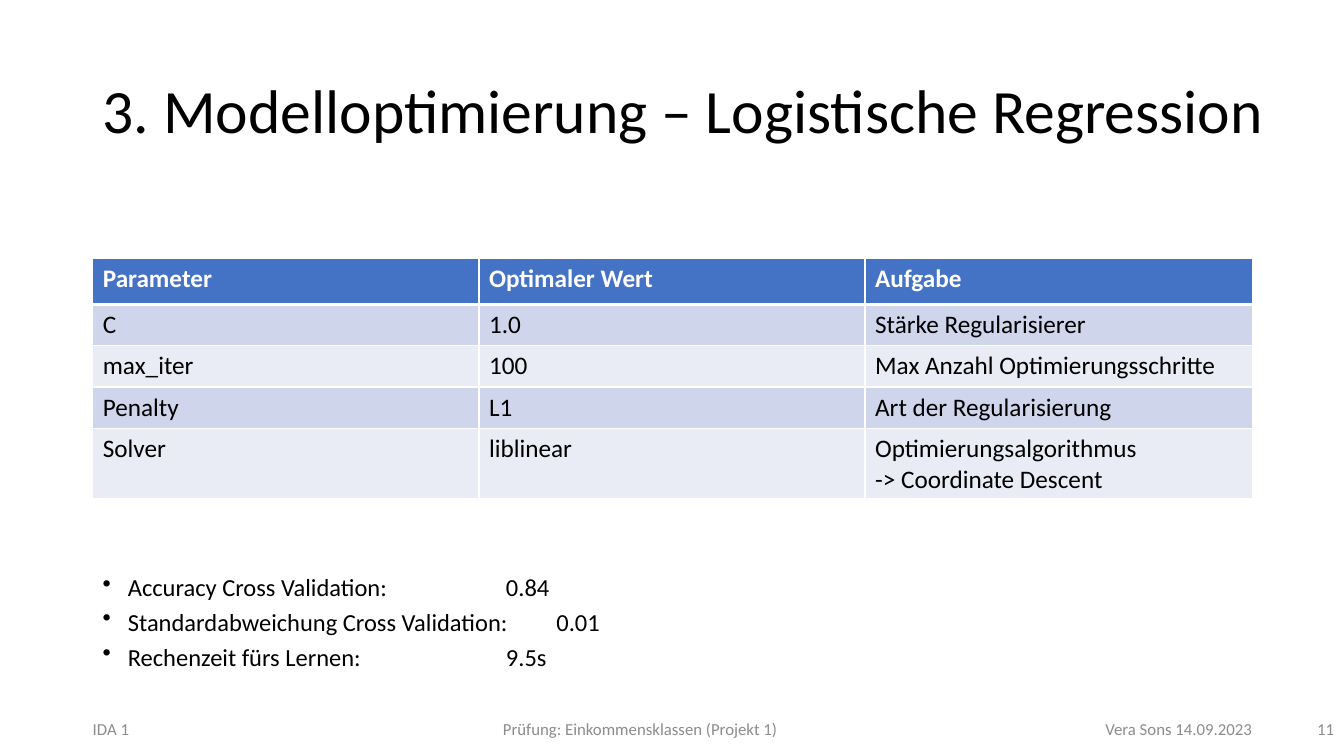
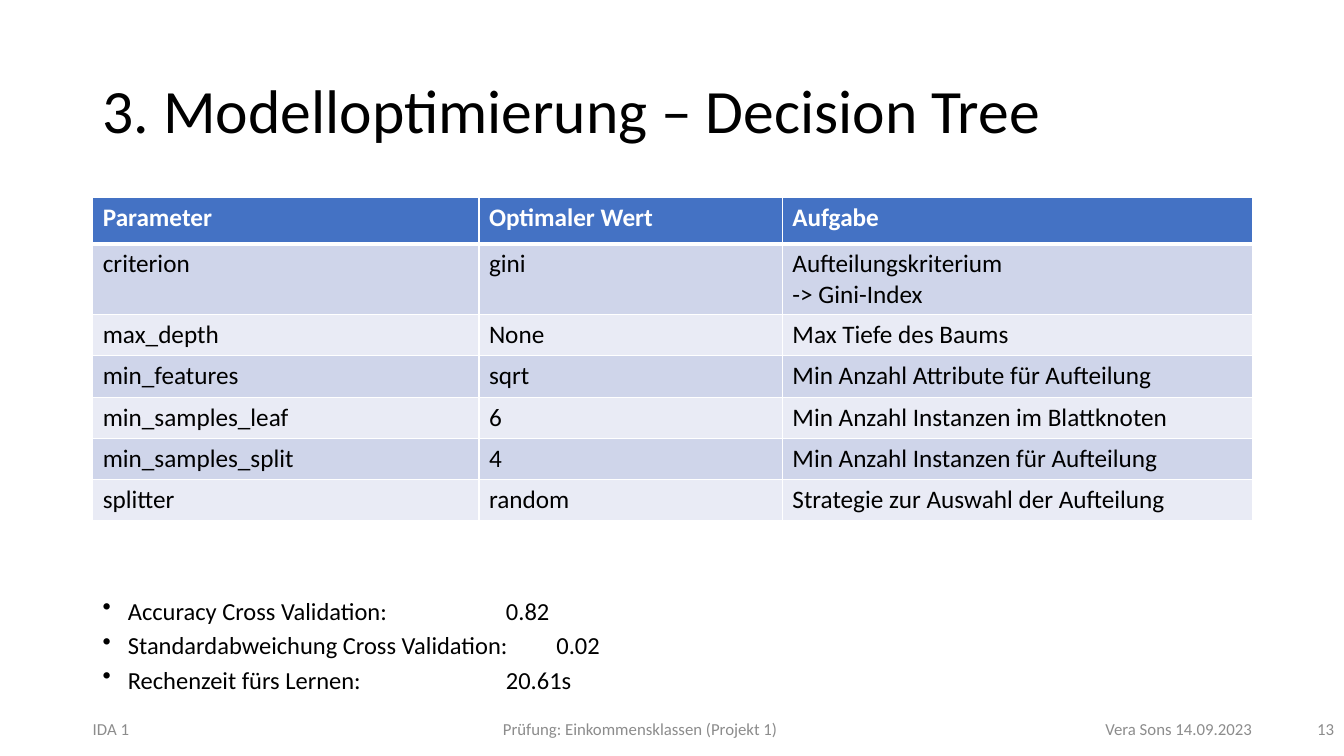
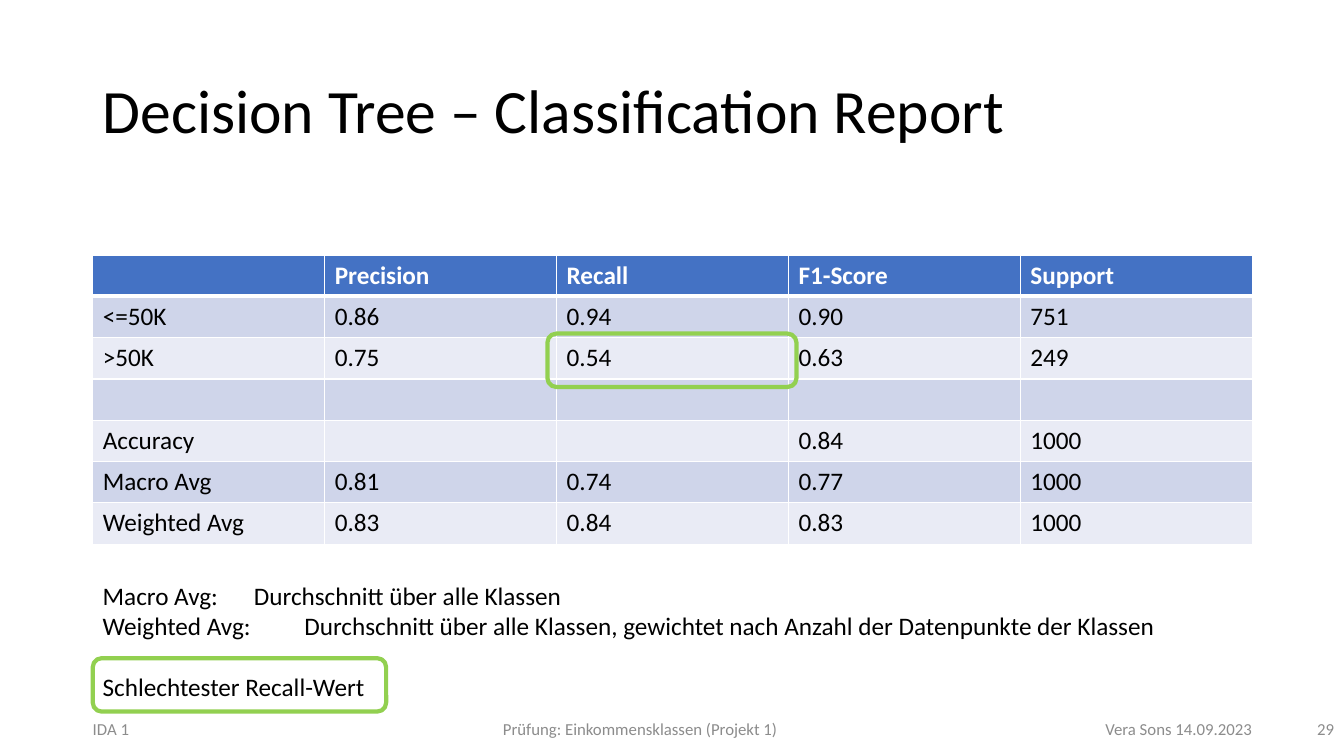
from lxml.etree import SubElement
from pptx import Presentation
from pptx.dml.color import RGBColor
from pptx.enum.shapes import MSO_SHAPE as SHAPE
from pptx.enum.text import MSO_ANCHOR as ANCHOR, PP_ALIGN as ALIGN
from pptx.oxml.ns import qn
from pptx.util import Inches, Pt

BLACK = RGBColor(0x00, 0x00, 0x00)
WHITE = RGBColor(0xFF, 0xFF, 0xFF)
GREY = RGBColor(0x8C, 0x8C, 0x8C)
BLUE = RGBColor(0x44, 0x72, 0xC4)
BANDS = (RGBColor(0xCF, 0xD5, 0xEA), RGBColor(0xE9, 0xEB, 0xF5))
GREEN = RGBColor(0x92, 0xD0, 0x50)

LEFT, WIDTH = 0.92, 11.5
ROW_HEIGHT = 0.41
PARAMETER_HEADER = ("Parameter", "Optimaler Wert", "Aufgabe")


class Deck:
    font = "Calibri"
    footer = "IDA 1\tPrüfung: Einkommensklassen (Projekt 1)\tVera Sons 14.09.2023"

    def __init__(self):
        self.prs = Presentation()
        self.prs.slide_width = Inches(13.33)
        self.prs.slide_height = Inches(7.5)

    def slide(self, title, number, title_width=WIDTH):
        self.s = self.prs.slides.add_slide(self.prs.slide_layouts[6])
        tf = self.text(title, LEFT, 0.4, title_width, 1.45, 44, anchor=ANCHOR.MIDDLE)
        tf.paragraphs[0].line_spacing = 0.9
        self.foot(number)

    def style(self, p, size, color=BLACK, bold=False):
        p.font.name = self.font
        p.font.size = Pt(size)
        p.font.color.rgb = color
        p.font.bold = bold

    def text(self, text, x, y, w, h, size, color=BLACK, anchor=ANCHOR.TOP):
        tf = self.s.shapes.add_textbox(Inches(x), Inches(y), Inches(w), Inches(h)).text_frame
        tf.word_wrap = True
        tf.vertical_anchor = anchor
        tf.text = text
        for p in tf.paragraphs:
            self.style(p, size, color)
        return tf

    def foot(self, number):
        tf = self.text(self.footer, 0, 7.1, 13.33, 0.25, 12, GREY, ANCHOR.MIDDLE)
        tf.margin_left = Inches(LEFT)
        tf.margin_right = Inches(0.9)
        pPr = tf.paragraphs[0]._p.get_or_add_pPr()
        tabs = pPr.makeelement(qn("a:tabLst"))
        pPr.insert(0, tabs)
        for pos, align in ((5.43, "ctr"), (11.5, "r")):
            SubElement(tabs, qn("a:tab"), pos=str(Inches(pos)), algn=align)
        tf = self.text(str(number), 10.33, 7.03, 3, 0.4, 12, GREY, ANCHOR.MIDDLE)
        tf.paragraphs[0].alignment = ALIGN.RIGHT

    def scores(self, y, accuracy, deviation, duration):
        lines = (
            f"Accuracy Cross Validation:\t\t\t{accuracy}",
            f"Standardabweichung Cross Validation: \t{deviation}",
            f"Rechenzeit fürs Lernen:\t\t\t{duration}",
        )
        tf = self.text("\n".join(lines), LEFT, y, WIDTH, 1.05, 17.5)
        for p in tf.paragraphs:
            p.line_spacing = 0.7
            p.space_before = Pt(10)
            pPr = p._p.get_or_add_pPr()
            pPr.set("marL", str(Inches(0.25)))
            pPr.set("indent", str(-Inches(0.25)))
            bullet = pPr.makeelement(qn("a:buChar"), {"char": "•"})
            pPr.find(qn("a:defRPr")).addprevious(bullet)

    def border(self, cell, side, width):
        ln = SubElement(cell._tc.get_or_add_tcPr(), qn(f"a:ln{side}"), w=str(Pt(width)))
        fill = SubElement(ln, qn("a:solidFill"))
        SubElement(fill, qn("a:srgbClr"), val=str(WHITE))

    def table(self, y, widths, rows, header_height=ROW_HEIGHT):
        heights = [header_height] + [ROW_HEIGHT] * (len(rows) - 1)
        table = self.s.shapes.add_table(
            len(rows), len(widths), Inches(LEFT), Inches(y), Inches(WIDTH), Inches(sum(heights))
        ).table
        for column, width in zip(table.columns, widths):
            column.width = Inches(width)
        for i, (row, height, texts) in enumerate(zip(table.rows, heights, rows)):
            row.height = Inches(height)
            header = i == 0
            for cell, text in zip(row.cells, texts):
                cell.text = text
                for p in cell.text_frame.paragraphs:
                    self.style(p, 18, WHITE if header else BLACK, header)
                for side in "LRTB":
                    thick = (i, side) in ((0, "B"), (1, "T"))
                    self.border(cell, side, 3 if thick else 1)
                cell.fill.solid()
                cell.fill.fore_color.rgb = BLUE if header else BANDS[(i - 1) % 2]

    def highlight(self, x, y, w):
        sp = self.s.shapes.add_shape(
            SHAPE.ROUNDED_RECTANGLE, Inches(x), Inches(y), Inches(w), Inches(0.53)
        )
        sp.shadow.inherit = False
        sp.fill.background()
        sp.line.color.rgb = GREEN
        sp.line.width = Pt(3)


deck = Deck()

deck.slide("3. Modelloptimierung – Logistische Regression", 11, title_width=11.76)
deck.scores(5.71, "0.84", "0.01", "9.5s")
deck.table(2.56, (3.83, 3.83, 3.84), (
    PARAMETER_HEADER,
    ("C", "1.0", "Stärke Regularisierer"),
    ("max_iter", "100", "Max Anzahl Optimierungsschritte"),
    ("Penalty", "L1", "Art der Regularisierung"),
    ("Solver", "liblinear", "Optimierungsalgorithmus\n-> Coordinate Descent"),
), header_height=0.46)

deck.slide("3. Modelloptimierung – Decision Tree", 13)
deck.scores(5.94, "0.82", "0.02", "20.61s")
deck.table(1.96, (3.83, 3.01, 4.66), (
    PARAMETER_HEADER,
    ("criterion", "gini", "Aufteilungskriterium\n-> Gini-Index"),
    ("max_depth", "None", "Max Tiefe des Baums"),
    ("min_features", "sqrt", "Min Anzahl Attribute für Aufteilung"),
    ("min_samples_leaf", "6", "Min Anzahl Instanzen im Blattknoten"),
    ("min_samples_split", "4", "Min Anzahl Instanzen für Aufteilung"),
    ("splitter", "random", "Strategie zur Auswahl der Aufteilung"),
), header_height=0.46)

deck.slide("Decision Tree – Classification Report", 29)
deck.table(2.53, [WIDTH / 5] * 5, (
    ("", "Precision", "Recall", "F1-Score", "Support"),
    ("<=50K", "0.86", "0.94", "0.90", "751"),
    (">50K", "0.75", "0.54", "0.63", "249"),
    ("", "", "", "", ""),
    ("Accuracy", "", "", "0.84", "1000"),
    ("Macro Avg", "0.81", "0.74", "0.77", "1000"),
    ("Weighted Avg", "0.83", "0.84", "0.83", "1000"),
))
legend = deck.text(
    "Macro Avg: \tDurchschnitt über alle Klassen\n"
    "Weighted Avg: \tDurchschnitt über alle Klassen, gewichtet nach Anzahl der Datenpunkte der Klassen\n"
    "Schlechtester Recall-Wert",
    LEFT, 5.71, 10.77, 1.31, 18,
)
legend.paragraphs[-1].space_before = Pt(22)
deck.highlight(5.43, 3.31, 2.47)
deck.highlight(LEFT, 6.53, 2.91)

deck.prs.save("out.pptx")
